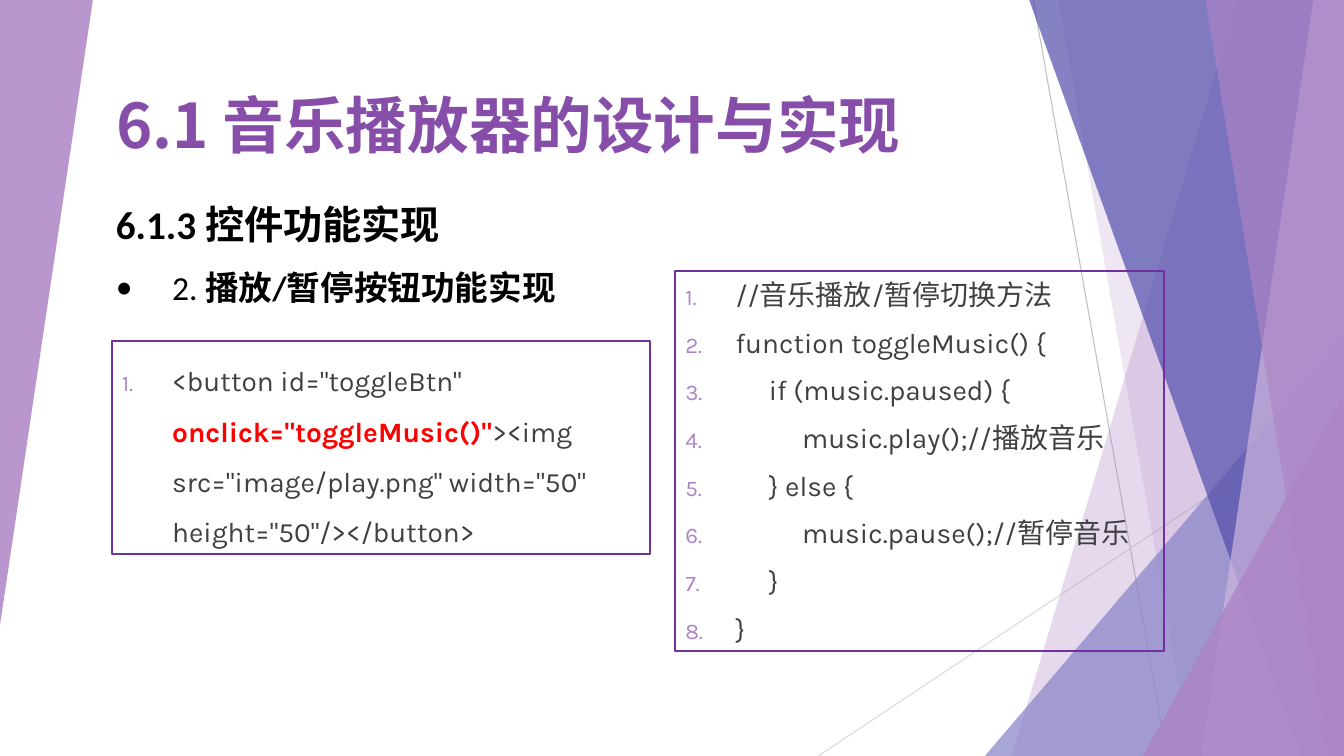
from lxml import etree
from pptx import Presentation
from pptx import util as u
from pptx.dml import color
from pptx.enum import shapes, text
from pptx.oxml import ns

Cm, Pt = u.Cm, u.Pt
WIDTH, HEIGHT, BLEED = 33.87, 19.05, -0.02
COLORS = {
    "lilac": "AD84C6", "pale lilac": "CEB5DD", "periwinkle": "8784C7",
    "indigo": "524EAB", "title": "874EA9", "frame": "7030A0",
    "black": "000000", "code": "404040", "highlight": "FF0000",
    "gray": "BFBFBF", "light gray": "D9D9D9",
}
TOGGLE_CODE = [
    "//音乐播放/暂停切换方法",
    "function toggleMusic() {",
    "     if (music.paused) {",
    "          music.play();//播放音乐",
    "     } else {",
    "          music.pause();//暂停音乐",
    "     }",
    "}",
]


def rgb(name):
    return color.RGBColor.from_string(COLORS[name])


def child(parent, tag, **attributes):
    return etree.SubElement(parent, ns.qn(tag), attributes)


# Background facets
def tint(facet, name, opacity):
    facet.shadow.inherit = False
    facet.line.fill.background()
    facet.fill.solid()
    facet.fill.fore_color.rgb = rgb(name)
    solid = facet.element.spPr.find(ns.qn("a:solidFill"))
    child(solid[0], "a:alpha", val=str(opacity * 1000))


def add_band(slide, top_x, bottom_x, name, opacity):
    """Fill from a slanted left edge to the right side of the slide."""
    outline = slide.shapes.build_freeform(Cm(top_x), Cm(BLEED), scale=1.0)
    corners = [(WIDTH, BLEED), (WIDTH, HEIGHT), (bottom_x, HEIGHT)]
    outline.add_line_segments([(Cm(x), Cm(y)) for x, y in corners], close=True)
    tint(outline.convert_to_shape(), name, opacity)


def add_corner(slide, left, top, width, height, name, opacity, rotation=0):
    corner = slide.shapes.add_shape(
        shapes.MSO_SHAPE.ISOSCELES_TRIANGLE,
        Cm(left), Cm(top), Cm(width), Cm(height))
    corner.adjustments[0] = 1.0
    corner.rotation = rotation
    tint(corner, name, opacity)


def add_hairline(slide, x1, y1, x2, y2, name):
    hairline = slide.shapes.add_connector(
        shapes.MSO_CONNECTOR.STRAIGHT, Cm(x1), Cm(y1), Cm(x2), Cm(y2))
    hairline.line.color.rgb = rgb(name)
    hairline.line.width = Pt(0.75)
    child(hairline.element.spPr, "a:effectLst")


def add_backdrop(slide):
    add_hairline(slide, 26.04, 0, 29.41, HEIGHT, "gray")
    add_hairline(slide, WIDTH, 10.24, 20.62, HEIGHT, "light gray")
    add_band(slide, 31.19, 25.5, "lilac", 30)
    add_band(slide, 26.67, 30.02, "lilac", 20)
    add_corner(slide, 24.82, 8.46, 9.04, 10.59, "periwinkle", 72)
    add_band(slide, 25.93, 32.79, "indigo", 70)
    add_band(slide, 33.1, 30.28, "pale lilac", 70)
    add_band(slide, 30.38, 33.48, "lilac", 65)
    add_corner(slide, 28.8, 9.98, 5.05, 9.07, "lilac", 80)
    add_corner(slide, 0, 0, 2.34, 15.75, "lilac", 85, rotation=180)


# Text
def add_run(paragraph, words, size, font, name, bold=False):
    run = paragraph.add_run()
    run.text = words
    run.font.size = Pt(size)
    run.font.bold = bold
    run.font.name = font
    run.font.color.rgb = rgb(name)
    child(run.font._element, "a:ea", typeface=font)


def hang(paragraph, indent):
    properties = paragraph._p.get_or_add_pPr()
    properties.set("marL", str(Cm(indent)))
    properties.set("indent", str(-Cm(indent)))
    return properties


def number(paragraph):
    properties = hang(paragraph, 1.27)
    bullet_color = child(properties, "a:buClr")
    child(bullet_color, "a:srgbClr", val=COLORS["lilac"])
    child(properties, "a:buSzPct", val="80000")
    child(properties, "a:buFont", typeface="Karla")
    child(properties, "a:buAutoNum", type="arabicPeriod")


def add_title(slide):
    title = slide.shapes.title
    title.left, title.top = Cm(2.67), Cm(0.64)
    title.width, title.height = Cm(22.86), Cm(3.53)
    title.element.getparent().append(title.element)
    frame = title.text_frame
    frame.auto_size = text.MSO_AUTO_SIZE.NONE
    frame.vertical_anchor = text.MSO_ANCHOR.BOTTOM
    heading = frame.paragraphs[0]
    heading.alignment = text.PP_ALIGN.LEFT
    heading.line_spacing = 1.5
    add_run(heading, "6.1 音乐播放器的设计与实现", 44, "Noto Sans CJK SC", "title", True)


def add_section(slide):
    section = slide.shapes.add_textbox(Cm(2.67), Cm(4.32), Cm(25.32), Cm(7.16))
    frame = section.text_frame
    frame.word_wrap = True
    heading = frame.paragraphs[0]
    heading.line_spacing = 1.5
    add_run(heading, "6.1.3 控件功能实现", 28, "Calibri", "black", True)

    step = frame.add_paragraph()
    step.line_spacing = 1.5
    properties = hang(step, 1.42)
    child(properties, "a:buFont", typeface="Calibri")
    child(properties, "a:buChar", char="•")
    add_run(step, "2. ", 24, "Calibri", "black")
    add_run(step, "播放/暂停按钮功能实现", 24, "Calibri", "black", True)


def add_code_box(slide, left, top, width, height, lines, spacing=1.0):
    """Each line is a list of (words, color name, bold) runs."""
    box = slide.shapes.add_shape(
        shapes.MSO_SHAPE.RECTANGLE, Cm(left), Cm(top), Cm(width), Cm(height))
    box.shadow.inherit = False
    box.fill.background()
    box.line.color.rgb = rgb("frame")
    box.line.width = Pt(1.5)
    frame = box.text_frame
    frame.word_wrap = True
    frame.auto_size = text.MSO_AUTO_SIZE.SHAPE_TO_FIT_TEXT
    for index, runs in enumerate(lines):
        line = frame.add_paragraph() if index else frame.paragraphs[0]
        line.alignment = text.PP_ALIGN.LEFT
        line.line_spacing = spacing
        if index:
            line.space_before = Pt(10)
        number(line)
        for words, name, bold in runs:
            add_run(line, words, 20, "Karla", name, bold)


def main():
    deck = Presentation()
    deck.slide_width, deck.slide_height = Cm(WIDTH), Cm(HEIGHT)
    slide = deck.slides.add_slide(deck.slide_layouts[5])
    add_backdrop(slide)
    add_title(slide)
    add_section(slide)

    # Button markup, then the function it calls
    button = [
        ('<button id="toggleBtn" ', "code", False),
        ('onclick="toggleMusic()"', "highlight", True),
        ('><img src="image/play.png" width="50" height="50"/></button>', "code", False),
    ]
    add_code_box(slide, 2.82, 8.59, 13.56, 5.38, [button], spacing=1.5)
    add_code_box(slide, 17.02, 6.83, 12.32, 9.58,
                 [[(line, "code", False)] for line in TOGGLE_CODE])
    deck.save("out.pptx")


if __name__ == "__main__":
    main()
